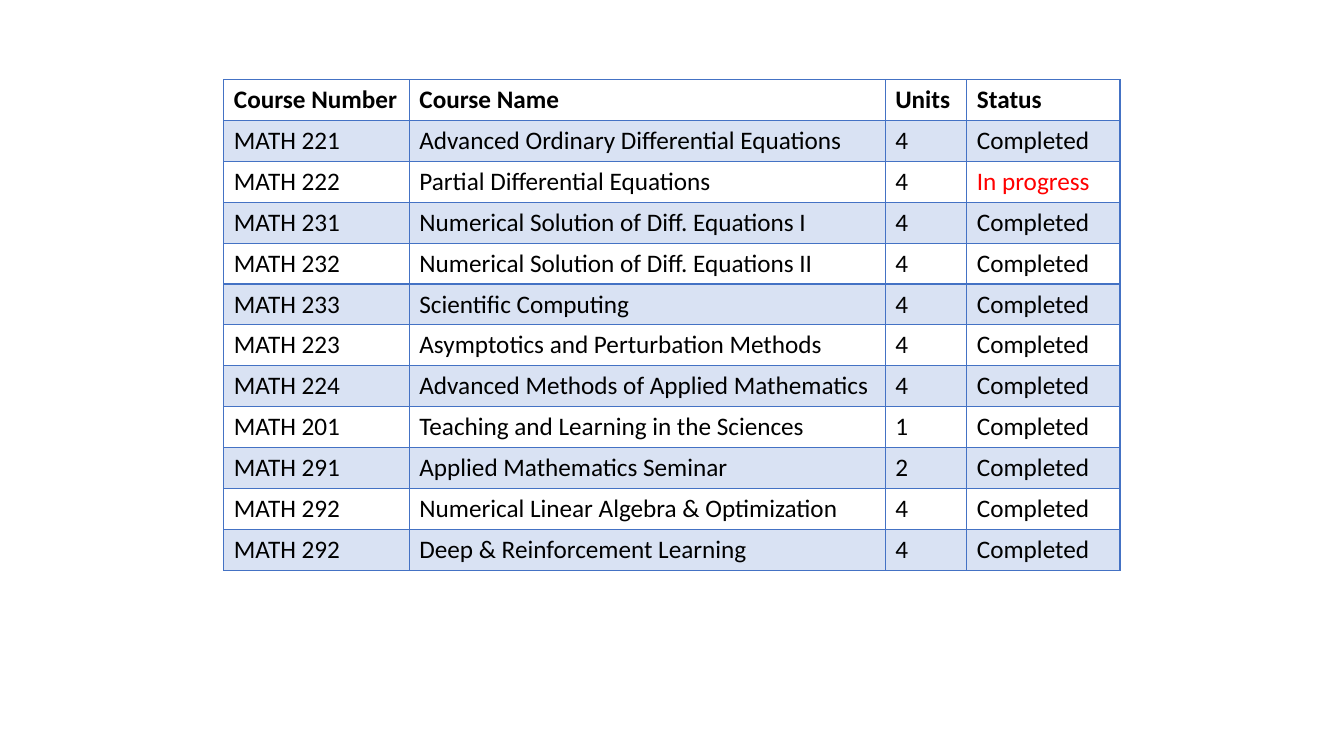
"""Build a slide with a table of graduate mathematics courses and their status."""
from lxml import etree
from pptx import Presentation
from pptx.dml.color import RGBColor
from pptx.oxml.ns import qn
from pptx.util import Inches, Pt

HEADINGS = ("Course Number", "Course Name", "Units", "Status")
DONE, ONGOING = "Completed", "In progress"
COURSES = [
    ("MATH 221", "Advanced Ordinary Differential Equations", 4, DONE),
    ("MATH 222", "Partial Differential Equations", 4, ONGOING),
    ("MATH 231", "Numerical Solution of Diff. Equations I", 4, DONE),
    ("MATH 232", "Numerical Solution of Diff. Equations II", 4, DONE),
    ("MATH 233", "Scientific Computing", 4, DONE),
    ("MATH 223", "Asymptotics and Perturbation Methods", 4, DONE),
    ("MATH 224", "Advanced Methods of Applied Mathematics", 4, DONE),
    ("MATH 201", "Teaching and Learning in the Sciences", 1, DONE),
    ("MATH 291", "Applied Mathematics Seminar", 2, DONE),
    ("MATH 292", "Numerical Linear Algebra & Optimization", 4, DONE),
    ("MATH 292", "Deep & Reinforcement Learning", 4, DONE),
]

BLUE = RGBColor(0x44, 0x72, 0xC4)
BLACK = RGBColor(0, 0, 0)
RED = RGBColor(0xFF, 0, 0)
BAND_OPACITY = 20
LEFT, TOP = 2.22, 0.79
COLUMN_WIDTHS = (1.84, 4.72, 0.81, 1.52)
TABLE_HEIGHT = 4.87


def shade(cell, banded):
    """Give a banded cell a translucent blue fill and any other cell none."""
    if not banded:
        cell.fill.background()
        return
    cell.fill.solid()
    cell.fill.fore_color.rgb = BLUE
    color = cell._tc.tcPr.find(".//" + qn("a:srgbClr"))
    etree.SubElement(color, qn("a:alpha"), val=str(BAND_OPACITY * 1000))


def outline(cell):
    """Draw a thin blue line on all four sides of a cell."""
    properties = cell._tc.get_or_add_tcPr()
    for place, side in enumerate(("lnL", "lnR", "lnT", "lnB")):
        line = etree.Element(qn("a:" + side), w=str(Pt(1)))
        fill = etree.SubElement(line, qn("a:solidFill"))
        etree.SubElement(fill, qn("a:srgbClr"), val=str(BLUE))
        properties.insert(place, line)


presentation = Presentation()
presentation.slide_width = Inches(13.33)
presentation.slide_height = Inches(7.5)
slide = presentation.slides.add_slide(presentation.slide_layouts[6])

rows = [HEADINGS, *COURSES]
course_table = slide.shapes.add_table(
    len(rows), len(HEADINGS), Inches(LEFT), Inches(TOP),
    Inches(sum(COLUMN_WIDTHS)), Inches(TABLE_HEIGHT),
).table
course_table.first_row = False
course_table.horz_banding = False
for column, width in zip(course_table.columns, COLUMN_WIDTHS):
    column.width = Inches(width)

for row_index, row in enumerate(rows):
    for column_index, value in enumerate(row):
        cell = course_table.cell(row_index, column_index)
        cell.text = str(value)
        font = cell.text_frame.paragraphs[0].font
        font.name = "Calibri"
        font.size = Pt(18)
        font.bold = row_index == 0
        font.color.rgb = RED if value == ONGOING else BLACK
        shade(cell, banded=row_index % 2 == 1)
        outline(cell)

presentation.save("out.pptx")
